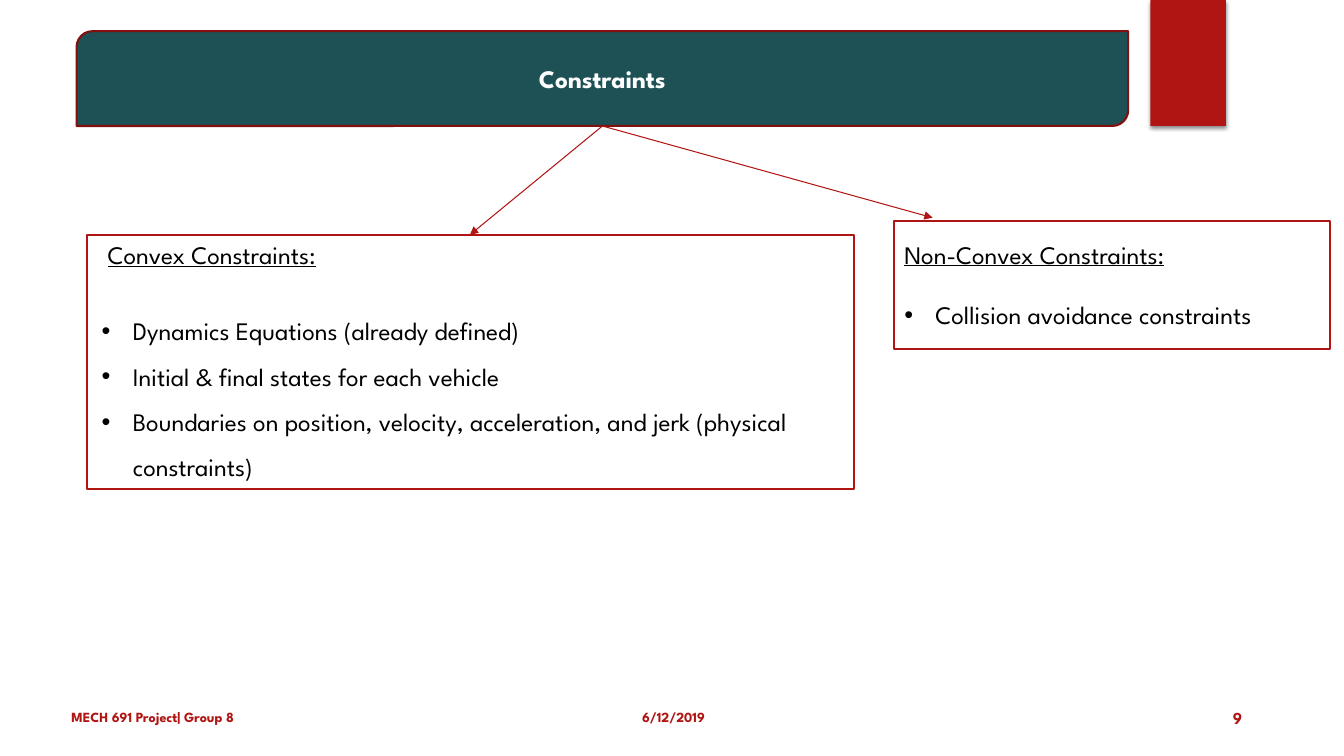
from lxml import etree
from pptx import Presentation
from pptx.dml.color import RGBColor
from pptx.enum.shapes import MSO_CONNECTOR as Connector, MSO_SHAPE as Shape
from pptx.enum.text import MSO_ANCHOR as Anchor, PP_ALIGN as Align
from pptx.oxml.ns import qn
from pptx.util import Inches, Pt

# Content
TITLE = "Constraints"
# Panels: frame, text area, bullet line spacing, heading indent, arrow tip, words
PANELS = [
    dict(frame=(0.86, 2.33, 7.61, 2.52), text=(0.91, 2.33, 7.33, 3.13),
         spacing=1.5, indent=0.06, tip=(4.66, 2.33),
         heading="Convex Constraints:",
         items=["Dynamics Equations (already defined)",
                "Initial & final states for each vehicle",
                "Boundaries on position, velocity, acceleration, and jerk "
                "(physical constraints)"]),
    dict(frame=(8.87, 2.19, 4.32, 1.27), text=(8.87, 2.32, 4.32, 1.01),
         spacing=1.0, indent=0, tip=(9.25, 2.16),
         heading="Non-Convex Constraints:",
         items=["Collision avoidance constraints"]),
]
# Footer: area, words, size, alignment, anchor
FOOTER = [
    ((0.61, 6.95, 2.61, 0.33), "MECH 691 Project| Group 8", 10, Align.LEFT, Anchor.MIDDLE),
    ((6.27, 6.98, 0.88, 0.27), "6/12/2019", 10, Align.LEFT, Anchor.TOP),
    ((11.74, 6.92, 0.68, 0.4), "9", 12, Align.RIGHT, Anchor.MIDDLE),
]

# Style
FONT = "League Spartan"
COLORS = dict(red="B01513", dark_red="82100E", teal="1E5155",
              white="FFFFFF", black="000000")
BANNER = (0.76, 0.31, 10.43, 0.94)
RIBBON = (11.41, 0, 0.75, 1.25)
BULLET_INDENT = 0.31
HEADING_GAP = 21.7  # one text line


def color(name):
    return RGBColor.from_string(COLORS[name])


def inches(values):
    return [Inches(value) for value in values]


def add_box(page, kind, area, fill=None, line=None):
    box = page.shapes.add_shape(kind, *inches(area))
    box.shadow.inherit = False
    if fill:
        box.fill.solid()
        box.fill.fore_color.rgb = color(fill)
    else:
        box.fill.background()
    if line:
        box.line.color.rgb = color(line)
        box.line.width = Pt(1.5)
    else:
        box.line.fill.background()
    return box


def write(para, words, tint, **formats):
    span = para.add_run()
    span.text = words
    span.font.color.rgb = color(tint)
    for name, value in {"name": FONT, "size": Pt(18), **formats}.items():
        setattr(span.font, name, value)


def add_text(page, area, anchor=Anchor.TOP):
    frame = page.shapes.add_textbox(*inches(area)).text_frame
    frame.word_wrap = True
    frame.vertical_anchor = anchor
    return frame


def add_bullet(para):
    props = para._p.get_or_add_pPr()
    props.set("marL", str(Inches(BULLET_INDENT)))
    props.set("indent", str(-Inches(BULLET_INDENT)))
    etree.SubElement(props, qn("a:buFont"), typeface="Arial")
    etree.SubElement(props, qn("a:buChar"), char="•")


def add_arrow(page, start, end):
    arrow = page.shapes.add_connector(Connector.STRAIGHT, *inches(start + end))
    arrow.line.color.rgb = color("red")
    arrow.line.width = Pt(0.75)
    etree.SubElement(arrow.line._get_or_add_ln(), qn("a:tailEnd"), type="triangle")
    etree.SubElement(arrow._element.spPr, qn("a:effectLst"))


def add_panel(page, panel):
    add_box(page, Shape.RECTANGLE, panel["frame"], line="red")
    frame = add_text(page, panel["text"])
    heading = frame.paragraphs[0]
    heading.space_after = Pt(HEADING_GAP)
    heading._p.get_or_add_pPr().set("marL", str(Inches(panel["indent"])))
    write(heading, panel["heading"], "black", underline=True)
    for item in panel["items"]:
        para = frame.add_paragraph()
        para.line_spacing = panel["spacing"]
        add_bullet(para)
        write(para, item, "black")


def main():
    deck = Presentation()
    deck.slide_width, deck.slide_height = inches((13.33, 7.5))
    page = deck.slides.add_slide(deck.slide_layouts[5])

    # Ribbon with its soft shadow
    ribbon = add_box(page, Shape.RECTANGLE, RIBBON, fill="red")
    effects = ribbon._element.spPr.find(qn("a:effectLst"))
    shadow = etree.SubElement(effects, qn("a:outerShdw"), blurRad=str(Pt(3)),
                              dist=str(Pt(2)), dir="5400000", rotWithShape="0")
    tint = etree.SubElement(shadow, qn("a:srgbClr"), val=COLORS["black"])
    etree.SubElement(tint, qn("a:alpha"), val="45000")

    # Title over its banner
    banner = add_box(page, Shape.ROUND_2_DIAG_RECTANGLE, BANNER, "teal", "dark_red")
    title = page.shapes.title
    title.left, title.top, title.width, title.height = inches(BANNER)
    title.text_frame.vertical_anchor = Anchor.MIDDLE
    para = title.text_frame.paragraphs[0]
    para.alignment = Align.CENTER
    write(para, TITLE, "white", bold=True)
    banner._element.addnext(title._element)

    # Panels, each reached by an arrow from the banner's bottom centre
    left, top, width, height = BANNER
    for panel in PANELS:
        add_panel(page, panel)
        add_arrow(page, (left + width / 2, top + height), panel["tip"])

    # Footer
    for area, words, size, alignment, anchor in FOOTER:
        para = add_text(page, area, anchor).paragraphs[0]
        para.alignment = alignment
        write(para, words, "red", size=Pt(size), bold=True)

    deck.save("out.pptx")


if __name__ == "__main__":
    main()
